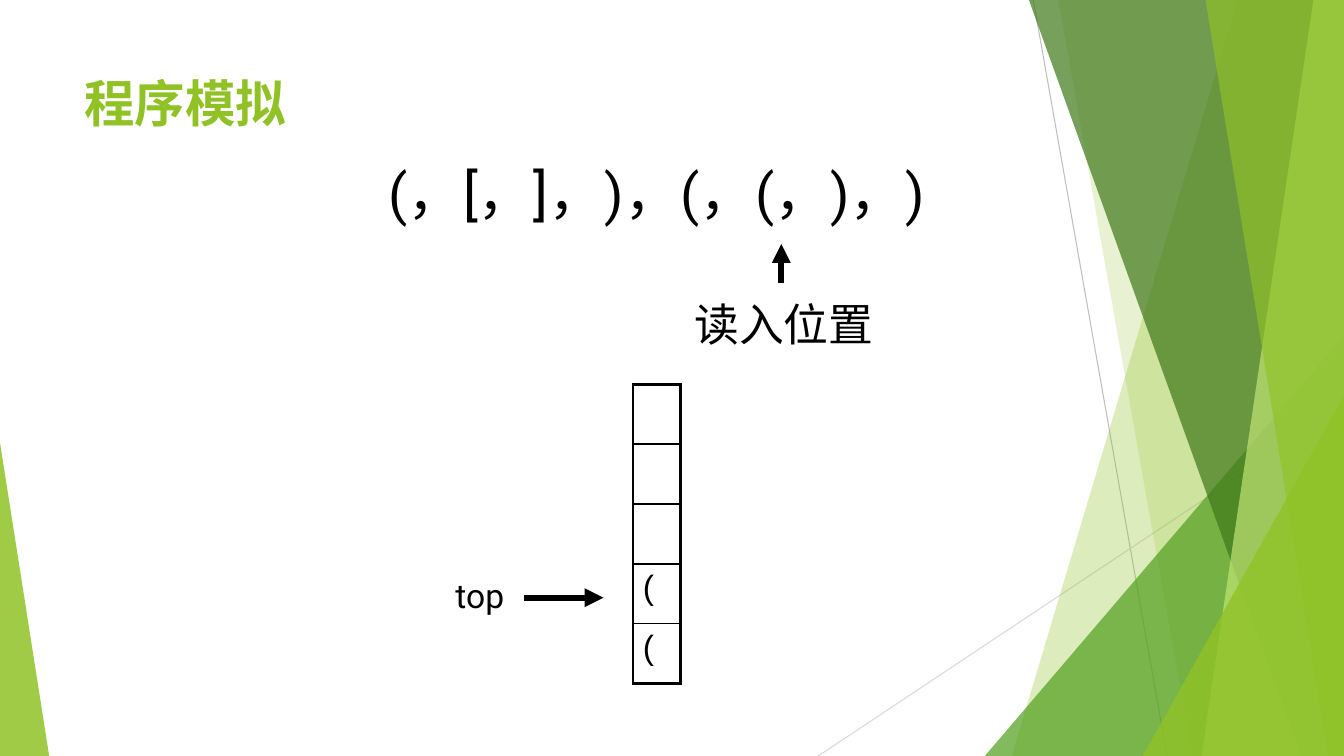
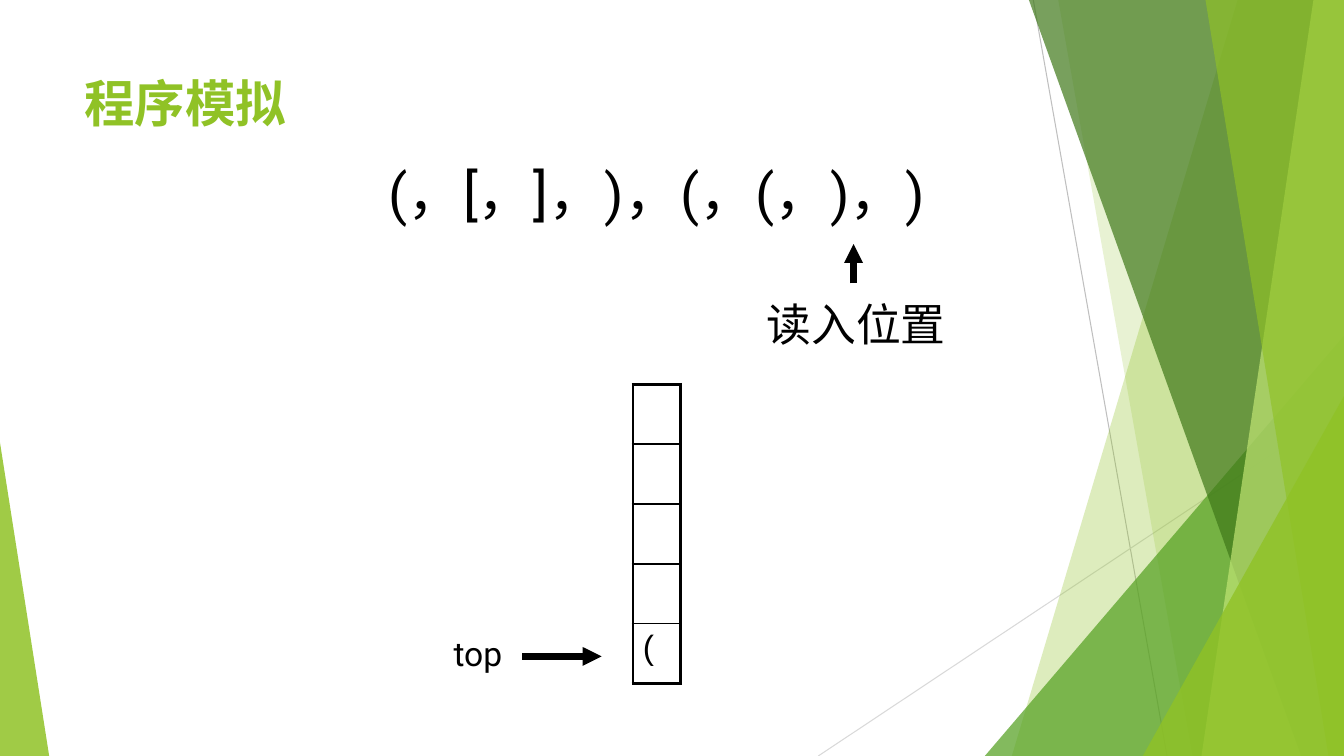
"""Build two slides that trace bracket matching with a stack."""
import pptx
import pptx.dml.color
import pptx.enum.lang
import pptx.enum.shapes
import pptx.oxml
import pptx.oxml.ns
import pptx.util
from pptx.util import Cm

COLOURS = {
    "green": "90C226",
    "leaf": "54A021",
    "forest": "3F7819",
    "lime": "C0E474",
    "grey": "BFBFBF",
    "pale": "D9D9D9",
    "ink": "000000",
}
FONT = "Roboto"
CELL_FONT = "Arial"
WIDTH, HEIGHT = 33.87, 19.05
STACK_SIZE = 5
ROW_HEIGHT = 1.51

GUIDE_LINES = [
    ((26.04, 0), (29.41, HEIGHT), "grey"),
    ((WIDTH, 10.24), (20.62, HEIGHT), "pale"),
]
DECORATION = [
    ("band", (31.19, 25.5), "green", 30),
    ("band", (26.67, 30.05), "green", 20),
    ("triangle", (24.82, 8.46, 9.05, 1), "leaf", 72),
    ("band", (25.93, 32.79), "forest", 70),
    ("band", (33.1, 30.28), "lime", 70),
    ("band", (30.38, 33.48), "green", 65),
    ("triangle", (28.8, 9.98, 5.07, 1), "green", 80),
    ("triangle", (0, 11.15, 1.24, 0), "green", 85),
]
STEPS = [
    {"reader_x": 19.69, "stack": ["(", "("], "top_arrow": (13.21, 15.06)},
    {"reader_x": 21.51, "stack": ["("], "top_arrow": (13.16, 16.54)},
]


def rgb(name):
    """Return the named colour."""
    return pptx.dml.color.RGBColor.from_string(COLOURS[name])


def add_element(parent, tag, **attributes):
    """Append a drawing element and return it."""
    element = pptx.oxml.parse_xml(f"<a:{tag} {pptx.oxml.ns.nsdecls('a')}/>")
    for name, value in attributes.items():
        element.set(name, str(value))
    parent.append(element)
    return element


def add_span(para, text, size, font=FONT, colour="ink", bold=False):
    """Add one formatted run to a paragraph."""
    span = para.add_run()
    span.text = text
    span.font.name = font
    span.font.size = pptx.util.Pt(size)
    span.font.bold = bold
    span.font.color.rgb = rgb(colour)
    span.font.language_id = pptx.enum.lang.MSO_LANGUAGE_ID.SIMPLIFIED_CHINESE


def add_text(page, place, text, size, **style):
    """Add a wrapping text box at left, top, width, height."""
    box = page.shapes.add_textbox(*map(Cm, place))
    box.text_frame.word_wrap = True
    add_span(box.text_frame.paragraphs[0], text, size, **style)


def add_line(page, start, end, colour, width, arrow=False):
    """Add a straight line, with an arrowhead at its end if asked."""
    line = page.shapes.add_connector(
        pptx.enum.shapes.MSO_CONNECTOR.STRAIGHT, *map(Cm, start + end))
    line.line.color.rgb = rgb(colour)
    line.line.width = pptx.util.Pt(width)
    if arrow:
        add_element(line.line._get_or_add_ln(), "tailEnd", type="triangle")
    add_element(line._element.spPr, "effectLst")


def add_band(page, top_x, bottom_x):
    """Add a band from a slanted left side to the right edge of the page."""
    outline = page.shapes.build_freeform(Cm(top_x), 0)
    outline.add_line_segments([
        (Cm(WIDTH), 0), (Cm(WIDTH), Cm(HEIGHT)), (Cm(bottom_x), Cm(HEIGHT))])
    return outline.convert_to_shape()


def add_triangle(page, left, top, width, apex):
    """Add a triangle that stands on the bottom edge of the page."""
    shape = page.shapes.add_shape(
        pptx.enum.shapes.MSO_SHAPE.ISOSCELES_TRIANGLE,
        Cm(left), Cm(top), Cm(width), Cm(HEIGHT - top))
    shape.adjustments[0] = apex
    return shape


def add_decoration(page):
    """Add the lines and translucent facets that every page shares."""
    for start, end, colour in GUIDE_LINES:
        add_line(page, start, end, colour, 0.75)
    makers = {"band": add_band, "triangle": add_triangle}
    for kind, place, colour, opacity in DECORATION:
        shape = makers[kind](page, *place)
        shape.shadow.inherit = False
        shape.line.fill.background()
        shape.fill.solid()
        shape.fill.fore_color.rgb = rgb(colour)
        colour_element = shape._element.spPr.find(
            ".//" + pptx.oxml.ns.qn("a:srgbClr"))
        add_element(colour_element, "alpha", val=opacity * 1000)


def set_border(cell, side, width):
    """Draw one side of a table cell."""
    line = add_element(cell._tc.get_or_add_tcPr(), f"ln{side}",
                       w=pptx.util.Pt(width))
    fill = add_element(line, "solidFill")
    add_element(fill, "srgbClr", val=COLOURS["ink"])


def add_stack(page, items):
    """Add the stack as a table filled from the bottom."""
    frame = page.shapes.add_table(
        STACK_SIZE, 1, Cm(15.95), Cm(9.68), Cm(1.2), Cm(STACK_SIZE * ROW_HEIGHT))
    table = frame.table
    table.first_row = False
    table.horz_banding = False
    contents = [""] * (STACK_SIZE - len(items)) + items
    for index, text in enumerate(contents):
        table.rows[index].height = Cm(ROW_HEIGHT)
        cell = table.cell(index, 0)
        borders = {
            "L": 2.25,
            "R": 2.25,
            "T": 2.25 if index == 0 else 1,
            "B": 2.25 if index == STACK_SIZE - 1 else 1,
        }
        for side, width in borders.items():
            set_border(cell, side, width)
        cell.fill.background()
        if text:
            add_span(cell.text_frame.paragraphs[0], text, 24, font=CELL_FONT)


def add_reader(page, x):
    """Add the reading position marker."""
    add_line(page, (x, 7.14), (x, 6.15), "ink", 4.5, arrow=True)
    add_text(page, (x - 2.44, 7.34, 5.16, 3), "读入位置", 32)


def add_top_pointer(page, x, y):
    """Add the pointer to the top of the stack."""
    add_text(page, (x - 1.98, y - 0.71, 2.39, 1.3), "top", 24)
    add_line(page, (x, y), (x + 2, y), "ink", 4.5, arrow=True)


def add_step(deck, step):
    """Add one page of the simulation."""
    page = deck.slides.add_slide(deck.slide_layouts[6])
    add_decoration(page)
    add_text(page, (1.88, 1.7, 23.88, 3.66), "程序模拟", 36,
             colour="green", bold=True)
    add_stack(page, step["stack"])
    add_text(page, (9.53, 3.86, 16.56, 1.96), "(，[，]，)，(，(，)，)", 40)
    add_reader(page, step["reader_x"])
    add_top_pointer(page, *step["top_arrow"])


def main():
    """Build and save the deck."""
    deck = pptx.Presentation()
    deck.slide_width, deck.slide_height = Cm(WIDTH), Cm(HEIGHT)
    for step in STEPS:
        add_step(deck, step)
    deck.save("out.pptx")


if __name__ == "__main__":
    main()
